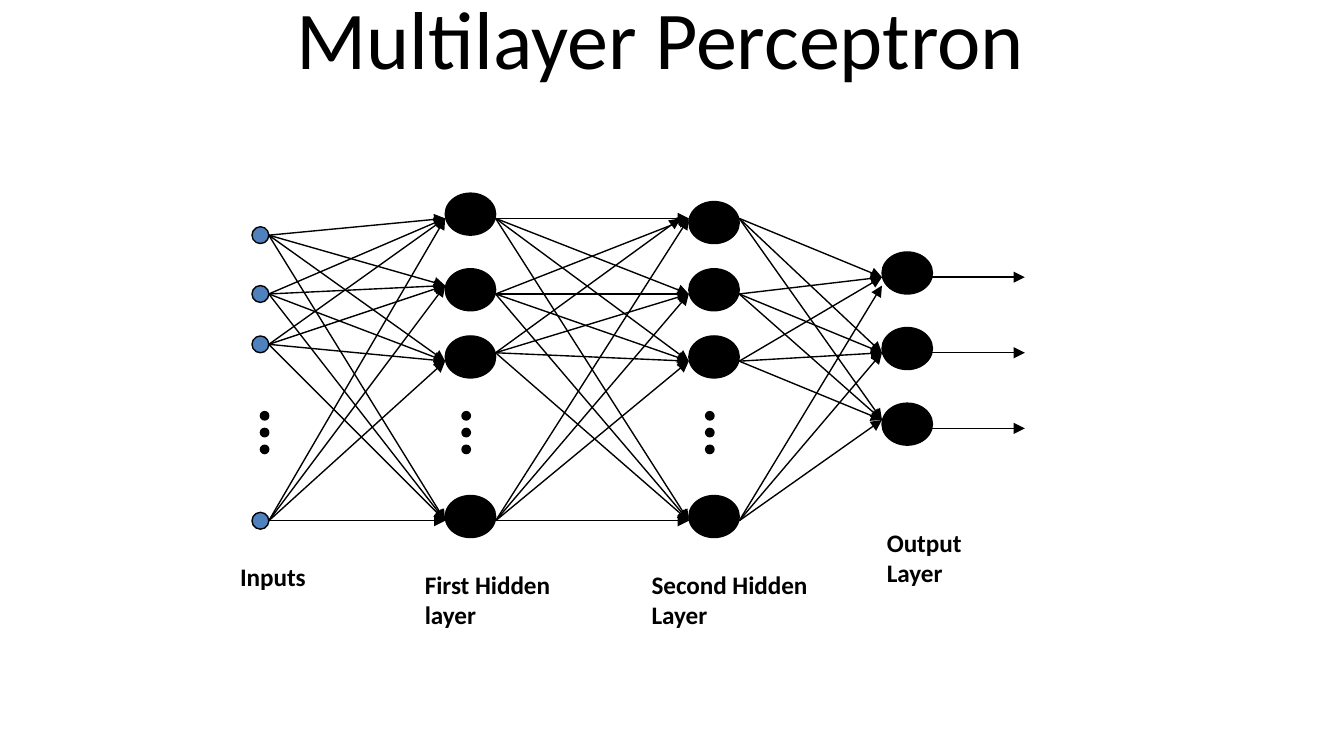
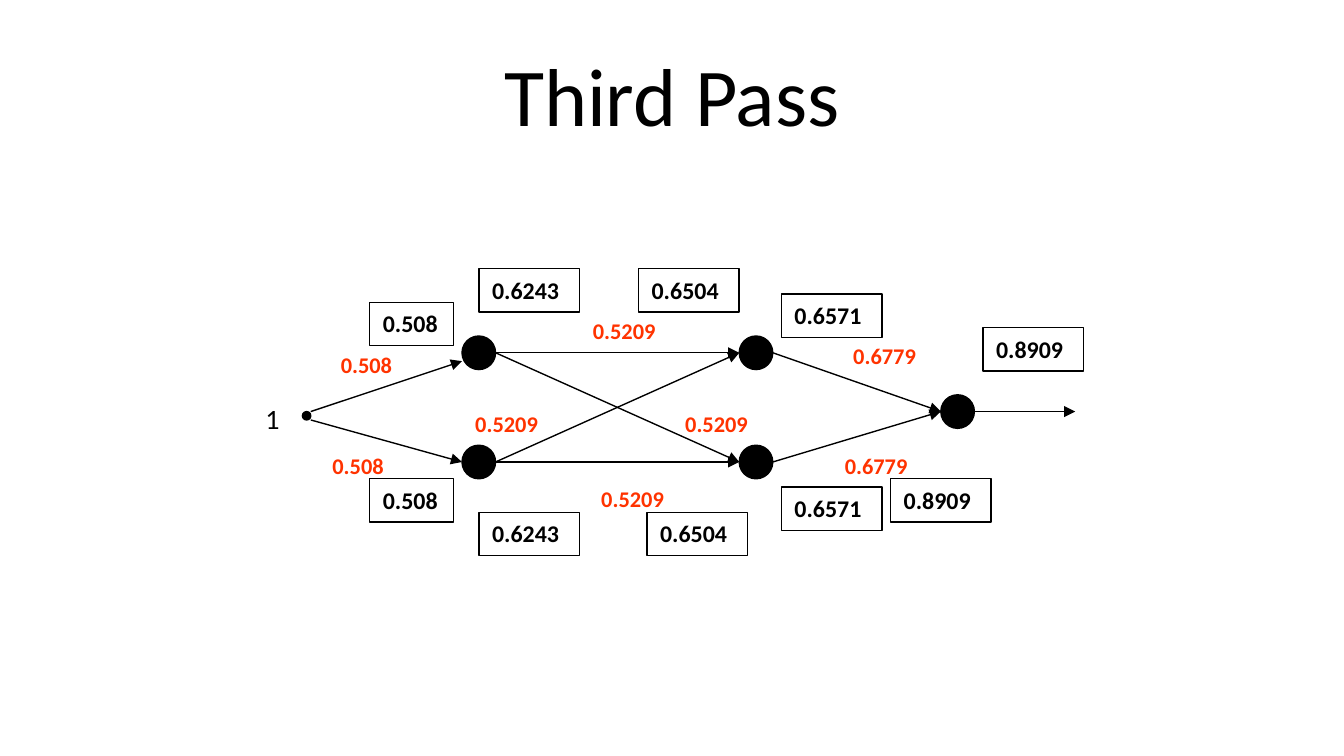
from itertools import product

from lxml.etree import SubElement
from pptx import Presentation
from pptx.dml.color import RGBColor
from pptx.enum.shapes import MSO_CONNECTOR, MSO_SHAPE
from pptx.enum.text import MSO_ANCHOR, MSO_AUTO_SIZE, PP_ALIGN
from pptx.oxml.ns import qn
from pptx.util import Pt

PX = 9525  # 96 px to the inch
BLACK = RGBColor(0x00, 0x00, 0x00)
BLUE = RGBColor(0x4F, 0x81, 0xBD)
ORANGE = RGBColor(0xFF, 0x33, 0x00)

TITLE = {"size": Pt(44), "bold": False}
LAYER = {"size": Pt(13.5), "bold": True}
WEIGHT = {"size": Pt(12), "bold": True}
VALUE = {"size": Pt(12.8), "bold": True}
INPUT = {"size": Pt(15), "bold": False}


def add_text(s, text, box, fmt, color=BLACK, framed=False, title=False):
    x, y, w, h = [v * PX for v in box]
    if framed:
        sp = s.shapes.add_shape(MSO_SHAPE.RECTANGLE, x, y, w, h)
        sp.shadow.inherit = False
        sp.fill.background()
        sp.line.color.rgb = BLACK
        sp.line.width = Pt(0.75)
    else:
        sp = s.shapes.add_textbox(x, y, w, h)
    tf = sp.text_frame
    tf.word_wrap = True
    tf.auto_size = MSO_AUTO_SIZE.NONE if title else MSO_AUTO_SIZE.SHAPE_TO_FIT_TEXT
    tf.vertical_anchor = MSO_ANCHOR.MIDDLE if title else MSO_ANCHOR.TOP
    p = tf.paragraphs[0]
    p.alignment = PP_ALIGN.CENTER if title else PP_ALIGN.LEFT
    r = p.add_run()
    r.text = text
    for name, value in {"name": "Calibri", **fmt}.items():
        setattr(r.font, name, value)
    r.font.color.rgb = color


def add_network(s, nodes, arrows):
    for x, ys, w, h, fill in nodes:
        for y in ys:
            sp = s.shapes.add_shape(MSO_SHAPE.OVAL, x * PX, y * PX, w * PX, h * PX)
            sp.shadow.inherit = False
            sp.fill.solid()
            sp.fill.fore_color.rgb = fill
            sp.line.color.rgb = BLACK
            sp.line.width = Pt(0.75)
    for ends in arrows:
        c = s.shapes.add_connector(MSO_CONNECTOR.STRAIGHT, *[v * PX for v in ends])
        c.line.color.rgb = BLACK
        c.line.width = Pt(0.75)
        spPr = c.element.spPr
        SubElement(spPr.find(qn("a:ln")), qn("a:tailEnd"), type="triangle")
        SubElement(spPr, qn("a:effectLst"))


prs = Presentation()
prs.slide_width, prs.slide_height = 960 * PX, 540 * PX
blank = prs.slide_layouts[6]

# Slide 1: multilayer perceptron
s = prs.slides.add_slide(blank)
add_text(s, "Multilayer Perceptron", (40, -19, 864, 90), TITLE, title=True)

nodes = [
    (180, (162, 204, 240, 366), 12, 12, BLUE),
    (318, (138, 192, 240, 354), 36, 30, BLACK),
    (492, (144, 192, 240, 354), 36, 30, BLACK),
    (630, (180, 234, 288), 36, 30, BLACK),
]
nodes += [(x, range(294, 319, 12), 6, 6, BLACK) for x in (186, 330, 504)]

# Every node of a layer feeds every node of the next one
layers = [
    (192, (168, 210, 246, 372), 318, (156, 204, 258, 372)),
    (354, (156, 210, 252, 372), 492, (156, 210, 258, 372)),
    (528, (156, 210, 258, 372), 630, (198, 252, 300)),
]
nudged = {(354, 252, 492, 156): (354, 252, 486, 156),
          (528, 372, 630, 198): (528, 372, 630, 204)}
arrows = []
for x1, starts, x2, stops in layers:
    for y1, y2 in product(starts, stops):
        ends = (x1, y1, x2, y2)
        arrows.append(nudged.get(ends, ends))
arrows += [(666, y, 732, y) for y in (198, 252, 306)]
add_network(s, nodes, arrows)

# Layer names
for text, box in [
    ("Inputs", (162, 396, 72, 32)),
    ("First Hidden layer", (294, 402, 126, 54)),
    ("Second Hidden Layer", (456, 402, 133, 54)),
    ("Output Layer", (624, 372, 84, 54)),
]:
    add_text(s, text, box, LAYER)

# Slide 2: third pass
s = prs.slides.add_slide(blank)
add_text(s, "Third Pass", (48, 22, 864, 90), TITLE, title=True)

nodes = [
    (216, (294,), 6, 6, BLACK),
    (330, (240, 318), 24, 24, BLACK),
    (528, (240, 318), 24, 24, BLACK),
    (672, (282,), 24, 24, BLACK),
]
rows = (252, 330)
arrows = [(222, 294, 330, 258), (222, 300, 330, 330)]
arrows += [(354, y1, 528, y2) for y1, y2 in product(rows, rows)]
arrows += [(552, y, 672, 294) for y in rows]
arrows.append((696, 294, 768, 294))
add_network(s, nodes, arrows)

# Weights on the arrows
for text, x, y, w in [
    ("0.508", 234, 246, 66), ("0.508", 228, 318, 60),
    ("0.5209", 414, 222, 72), ("0.5209", 330, 288, 72),
    ("0.5209", 480, 288, 66), ("0.5209", 420, 342, 66),
    ("0.6779", 600, 240, 72), ("0.6779", 594, 318, 66),
]:
    add_text(s, text, (x, y, w, 29), WEIGHT, ORANGE)
add_text(s, "1", (180, 282, 25, 34), INPUT)

# Framed values around the nodes
for text, x, y, w in [
    ("0.508", 264, 216, 60), ("0.508", 264, 342, 60),
    ("0.6243", 342, 192, 72), ("0.6243", 342, 366, 72),
    ("0.6504", 456, 192, 72), ("0.6504", 462, 366, 72),
    ("0.6571", 558, 210, 72), ("0.6571", 558, 348, 72),
    ("0.8909", 702, 234, 72), ("0.8909", 636, 342, 72),
]:
    add_text(s, text, (x, y, w, 31), VALUE, framed=True)

prs.save("out.pptx")
